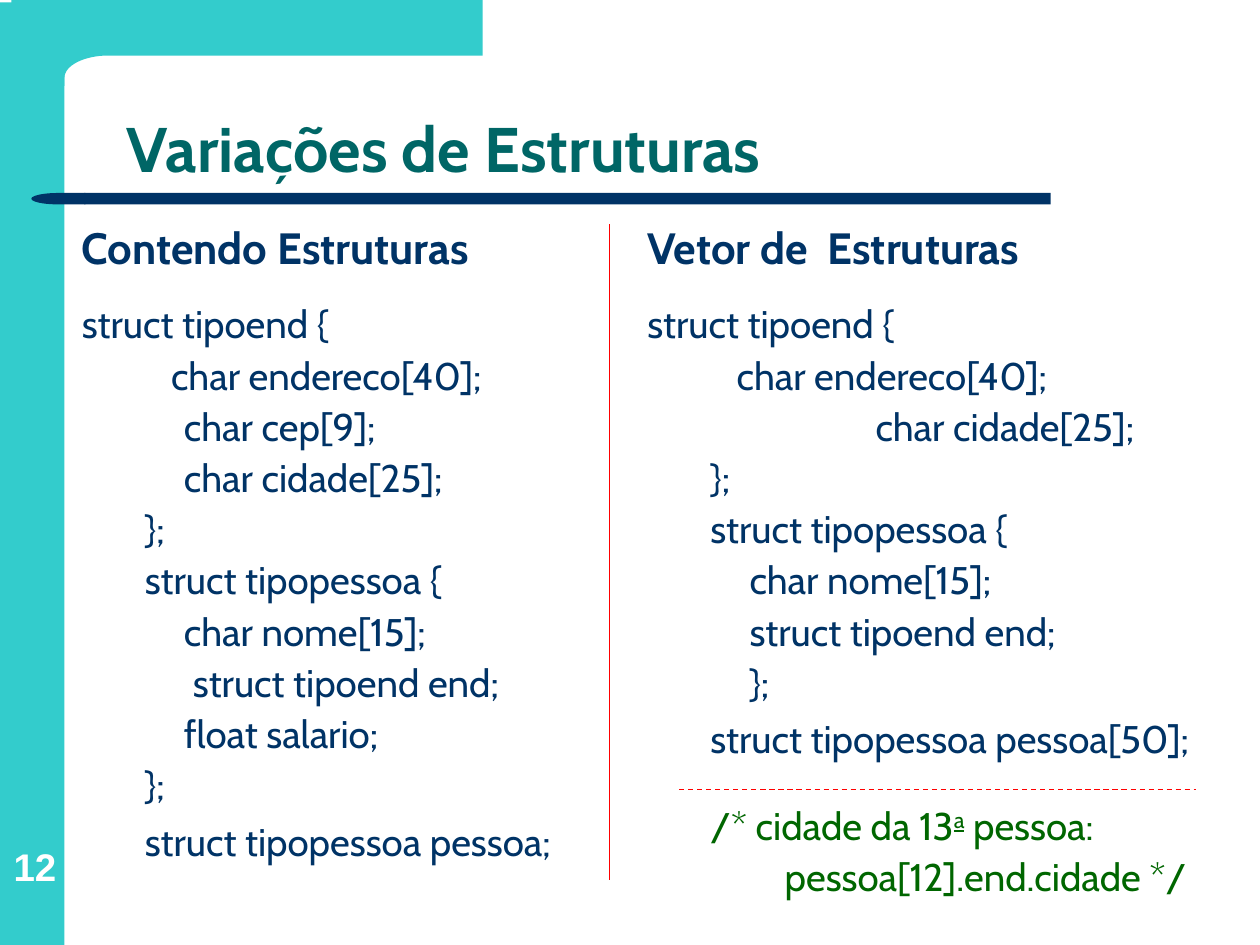
from math import cos, sin, pi
from pptx import Presentation
from pptx.dml.color import RGBColor
from pptx.enum.dml import MSO_LINE
from pptx.enum.shapes import MSO_CONNECTOR, MSO_SHAPE
from pptx.enum.text import MSO_ANCHOR, PP_ALIGN
from pptx.util import Cm, Pt
from lxml.etree import SubElement
from pptx.oxml.ns import qn

TEAL, NAVY, TITLE, GREEN, RED, WHITE = (
    "33CCCC", "003366", "006666", "006600", "FF0000", "FFFFFF")

HEADING = {"size": Pt(25), "bold": True, "name": "Cabin"}
CODE = {"size": Pt(22), "bold": False, "name": "Cabin"}
COMMENT_INDENT = 1.27

LEFT_CODE = [
    ("struct tipoend {", 0), ("char endereco[40];", 1.8),
    ("char cep[9];", 2.06), ("char cidade[25];", 2.06), ("};", 1.27),
    ("struct tipopessoa {", 1.27), ("char nome[15];", 2.06),
    ("struct tipoend end;", 2.24), ("float salario;", 2.06), ("};", 1.27),
    ("struct tipopessoa pessoa;", 1.27),
]
RIGHT_CODE = [
    ("struct tipoend {", 0), ("char endereco[40];", 1.8),
    ("char cidade[25];", 4.6), ("};", 1.27), ("struct tipopessoa {", 1.27),
    ("char nome[15];", 2.06), ("struct tipoend end;", 2.06), ("};", 2.06),
    ("struct tipopessoa pessoa[50];", 1.27),
]


def color(value):
    return RGBColor.from_string(value)


def apply(target, formats):
    for key, value in formats.items():
        setattr(target, key, value)


def paint(shape, fill):
    shape.shadow.inherit = False
    shape.fill.solid()
    shape.fill.fore_color.rgb = color(fill)
    shape.line.fill.background()


def add_block(slide, kind, box, fill):
    block = slide.shapes.add_shape(kind, *map(Cm, box))
    paint(block, fill)
    return block


def add_frame(slide, box, anchor, insets):
    frame = slide.shapes.add_textbox(*map(Cm, box)).text_frame
    left, top, right, bottom = map(Cm, insets)
    apply(frame, {"word_wrap": True, "vertical_anchor": anchor,
                  "margin_left": left, "margin_top": top,
                  "margin_right": right, "margin_bottom": bottom})
    return frame


def add_run(paragraph, text, formats, ink):
    run = paragraph.add_run()
    run.text = text
    apply(run.font, formats)
    run.font.color.rgb = color(ink)
    return run


def add_rule(slide, start, end, dash=None):
    rule = slide.shapes.add_connector(MSO_CONNECTOR.STRAIGHT, *map(Cm, start + end))
    rule.line.color.rgb = color(RED)
    apply(rule.line, {"width": Pt(0.75), "dash_style": dash})
    SubElement(rule._element.spPr, qn("a:effectLst"))


def add_sidebar(slide, box):
    left, top, width, height = box
    add_block(slide, MSO_SHAPE.RECTANGLE, box, TEAL)
    number = add_frame(slide, (left + 0.08, top + 16.51, width - 0.05, 1.37),
                       MSO_ANCHOR.BOTTOM, (0, 0, 0, 0)).paragraphs[0]
    number.alignment = PP_ALIGN.CENTER
    add_run(number, "12", {"size": Pt(22), "bold": True, "name": "Arial"}, WHITE)


def add_corner(slide, box):
    left, top, width, height = box
    band, inner, radius = 1.12, 1.07, 0.89
    drop = 0.45
    steps = 16
    arc = [(left + inner + radius * (1 - sin(i * pi / 2 / steps)),
            top + band + drop * (1 - cos(i * pi / 2 / steps)))
           for i in range(steps + 1)]
    outline = [(left + width, top), (left + width, top + band), *arc,
               (left + inner, top + height), (left, top + height)]
    builder = slide.shapes.build_freeform(Cm(left), Cm(top))
    builder.add_line_segments([(Cm(x), Cm(y)) for x, y in outline], close=True)
    paint(builder.convert_to_shape(), TEAL)


def add_title(slide, box):
    left, top, width, height = box
    bar_top, bar_height = top + height, 0.23
    add_block(slide, MSO_SHAPE.RECTANGLE,
              (left - 0.61, bar_top, 19.48, bar_height), NAVY)
    tip = add_block(slide, MSO_SHAPE.FLOWCHART_DELAY,
                    (left - 1.68, bar_top, 1.09, bar_height), NAVY)
    tip.rotation = 180
    title = add_frame(slide, box, MSO_ANCHOR.BOTTOM,
                      (0.25, 0.13, 0.25, 0.13)).paragraphs[0]
    title.line_spacing = 0.9
    add_run(title, "Variações de Estruturas",
            {"size": Pt(36), "bold": True, "name": "Cabin"}, TITLE)


def add_line(frame, indent, before, spacing=0.9):
    paragraph = frame.add_paragraph()
    apply(paragraph, {"space_before": Pt(before), "line_spacing": spacing})
    paragraph._p.get_or_add_pPr().set("marL", str(Cm(indent)))
    return paragraph


def add_column(slide, box, heading, code):
    frame = add_frame(slide, box, MSO_ANCHOR.TOP, (0.15, 0.13, 0.05, 0.13))
    frame.paragraphs[0].space_before = Pt(6.2)
    add_run(frame.paragraphs[0], heading, HEADING, NAVY)
    for row, (text, indent) in enumerate(code):
        before = 18.6 if row == 0 else 5.5
        spacing = 1.0 if row == len(code) - 1 else 0.9
        add_run(add_line(frame, indent, before, spacing), text, CODE, NAVY)
    return frame


def add_comment(slide, frame, box):
    left, top, width, height = box
    first = add_line(frame, COMMENT_INDENT, 26)
    add_run(first, "/* cidade da 13", CODE, GREEN)
    ordinal = add_run(first, "a", {**CODE, "underline": True}, GREEN)
    ordinal.font._element.set("baseline", "30000")
    add_run(first, " pessoa:", CODE, GREEN)
    second = add_line(frame, COMMENT_INDENT + 1.5, 5.5)
    add_run(second, "pessoa[12].end.cidade */", CODE, GREEN)
    rule_y = top + 11.6
    add_rule(slide, (left + 0.79, rule_y), (left + 11.2, rule_y), MSO_LINE.DASH)


def main():
    deck = Presentation()
    apply(deck, {"slide_width": Cm(25.4), "slide_height": Cm(19.05)})
    slide = deck.slides.add_slide(deck.slide_layouts[6])
    right_box = (12.9, 4.32, 12.01, 14)

    add_sidebar(slide, (0, 0.05, 1.3, 19))
    add_corner(slide, (0.23, 0, 9.5, 1.73))
    add_title(slide, (2.31, 1.12, 19.58, 2.77))
    add_column(slide, (1.5, 4.32, 10.8, 14), "Contendo Estruturas", LEFT_CODE)
    add_rule(slide, (12.29, 4.52), (12.29, 17.73))
    vector = add_column(slide, right_box, "Vetor de  Estruturas", RIGHT_CODE)
    add_comment(slide, vector, right_box)
    deck.save("out.pptx")


if __name__ == "__main__":
    main()
